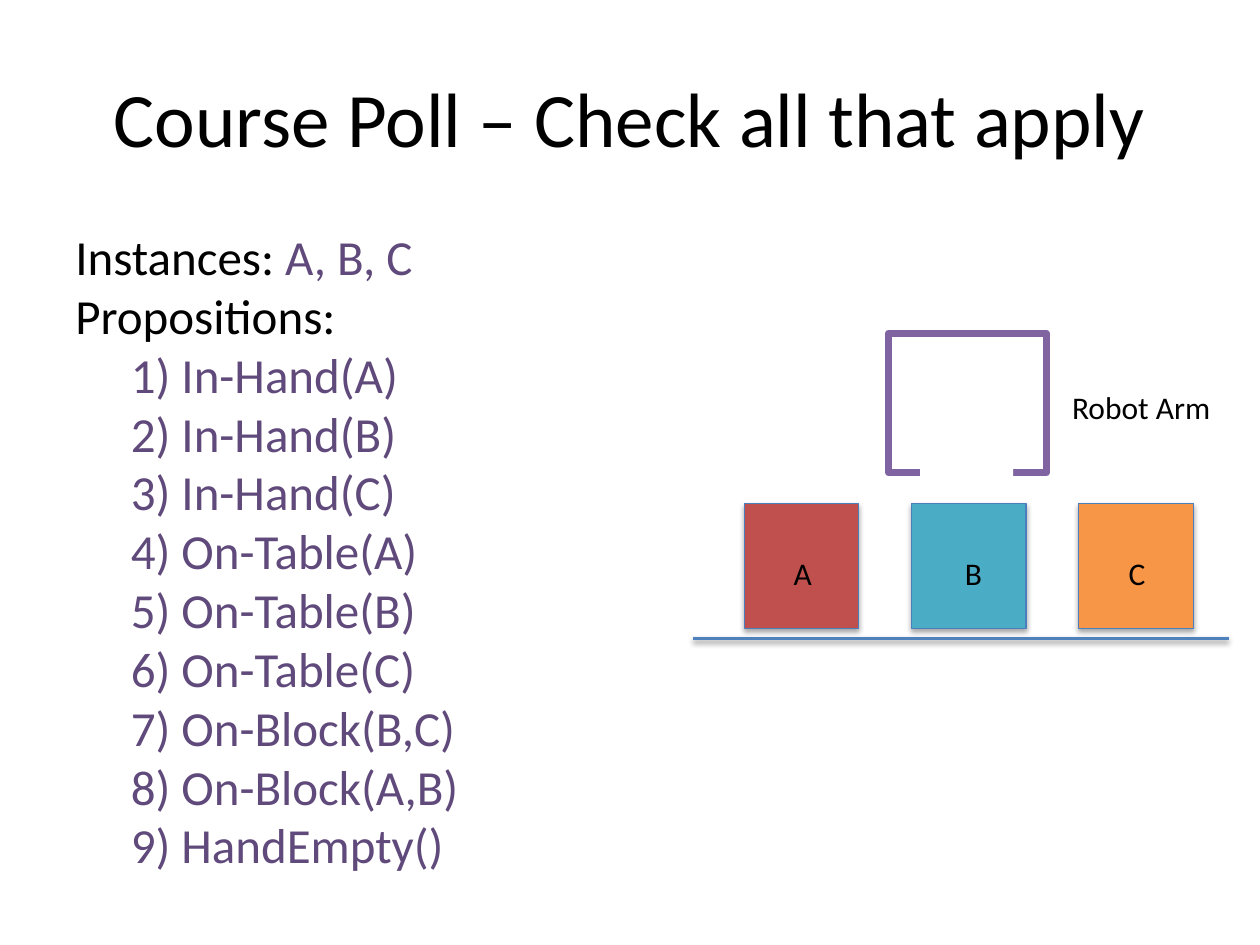
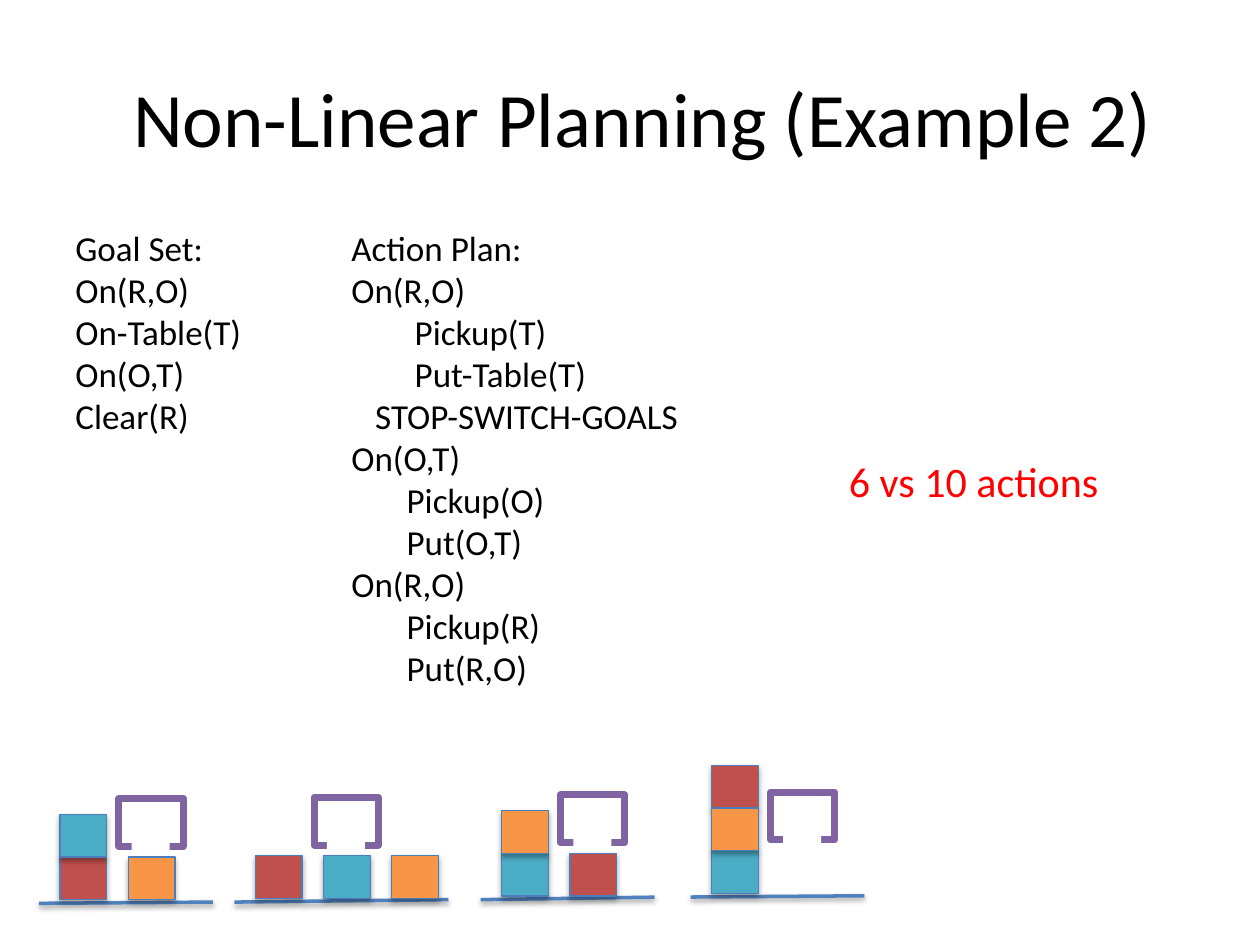
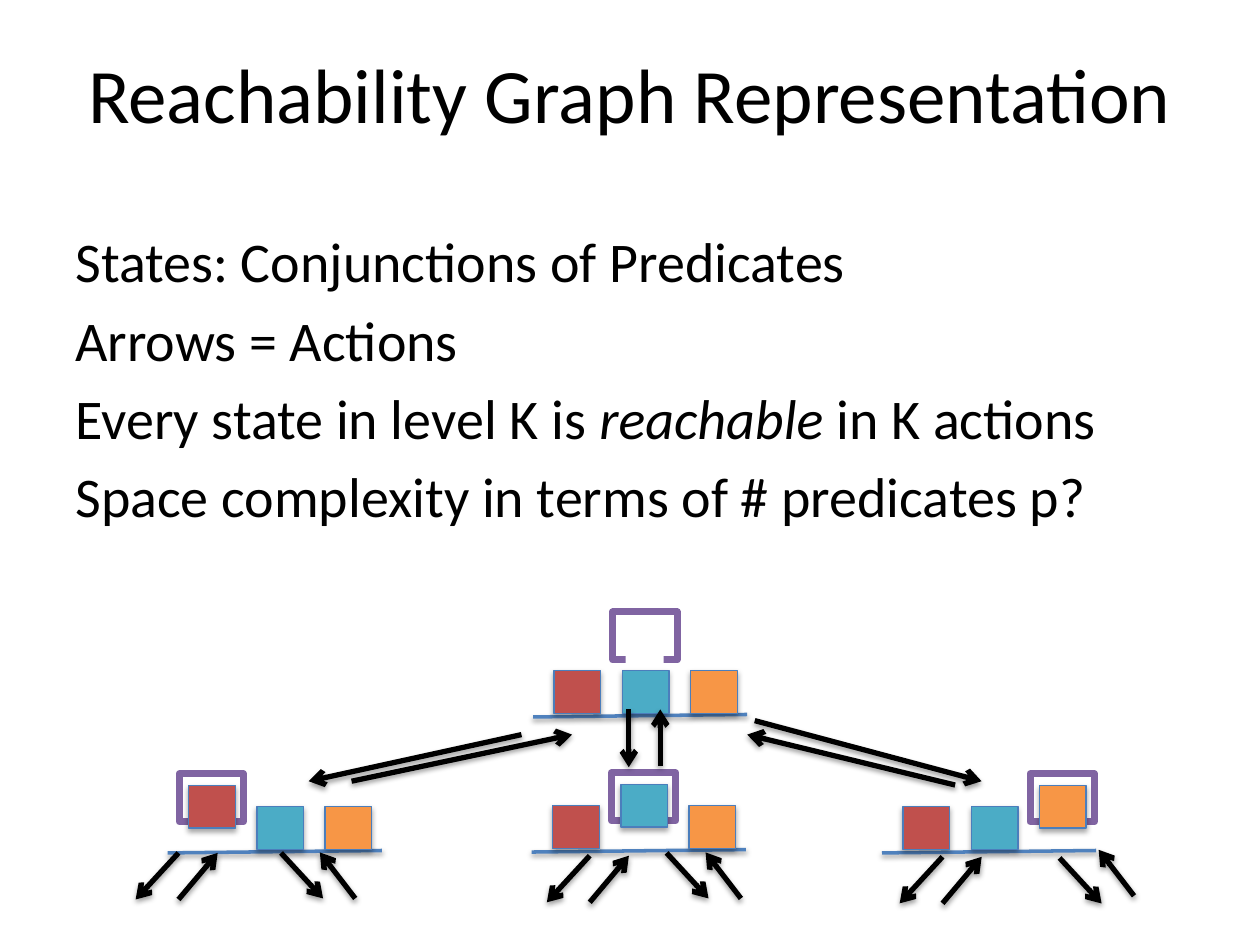
from lxml import etree
from pptx import Presentation
from pptx.dml.color import RGBColor
from pptx.enum.shapes import MSO_CONNECTOR, MSO_SHAPE
from pptx.enum.text import MSO_ANCHOR, PP_ALIGN
from pptx.oxml import parse_xml
from pptx.oxml.ns import qn
from pptx.util import Pt

COLORS = {
    "black": "000000", "white": "FFFFFF", "red": "C0504D", "teal": "4BACC6",
    "orange": "F79646", "edge": "4B7EBC", "table": "4F81BD", "arm": "8064A2",
    "term": "604A7B", "alert": "FF0000",
}
RGB = {name: RGBColor.from_string(value) for name, value in COLORS.items()}
FONT = "Calibri"
SHADOW = (
    '<a:effectLst xmlns:a="http://schemas.openxmlformats.org/drawingml/2006/main">'
    '<a:outerShdw blurRad="39370" dist="{}" dir="5400000" rotWithShape="0">'
    '<a:srgbClr val="000000"><a:alpha val="{}"/></a:srgbClr></a:outerShdw></a:effectLst>'
)


def add_rect(s, x, y, w, h, fill=None, line=None, width=0.75):
    sp = s.shapes.add_shape(MSO_SHAPE.RECTANGLE, Pt(x), Pt(y), Pt(w), Pt(h))
    sp.shadow.inherit = False
    if fill:
        sp.fill.solid()
        sp.fill.fore_color.rgb = RGB[fill]
    else:
        sp.fill.background()
    if line:
        sp.line.color.rgb = RGB[line]
        sp.line.width = Pt(width)
    else:
        sp.line.fill.background()
    return sp


def add_line(s, x1, y1, x2, y2, color, width, arrow=False):
    cx = s.shapes.add_connector(MSO_CONNECTOR.STRAIGHT, Pt(x1), Pt(y1), Pt(x2), Pt(y2))
    cx.line.color.rgb = RGB[color]
    cx.line.width = Pt(width)
    if arrow:
        etree.SubElement(cx.line._get_or_add_ln(), qn("a:tailEnd"), type="arrow")
    cx._element.spPr.append(parse_xml(SHADOW.format(20320, 38000)))


prs = Presentation()
prs.slide_width, prs.slide_height = Pt(720), Pt(540)
poll, plan, graph = [prs.slides.add_slide(prs.slide_layouts[6]) for _ in range(3)]

# fmt: off
ROW = [("red", 0, 0), ("teal", 1, 0), ("orange", 2, 0)]
SCENES = [
    (poll, 396, 365, 306, 0, 2.45, 2.91, None, ROW),
    (plan, 22.3, 516.2, 99.4, 0.7, 1, 1, None, [("red", 0, 0), ("teal", 0, 1), ("orange", 1, 0)]),
    (plan, 133.9, 515.5, 122.4, 1.4, 1, 1, None, ROW),
    (plan, 274.7, 514.1, 99.4, 1.4, 1, 1, None, [("red", 1, 0), ("teal", 0, 0), ("orange", 0, 1)]),
    (plan, 394.6, 512.6, 99.4, 0.7, 1, 1, None, [("red", 0, 2), ("teal", 0, 0), ("orange", 0, 1)]),
    (graph, 304.6, 409.7, 122.4, 1.4, 1, 1, None, ROW),
    (graph, 95.8, 487.4, 122.4, 1.4, 1, 1, 0, ROW),
    (graph, 303.8, 486.9, 122.4, 1.4, 1, 1, 1, ROW),
    (graph, 504, 487.4, 122.4, 1.4, 1, 1, 2, ROW),
]
# fmt: on
for s, x, y, length, rise, kx, ky, held, blocks in SCENES:
    add_line(s, x, y, x + length, y - rise, "table", 2)
    arm_col, arm_up = (1, 60) if held is None else (held, 45.2)
    arm_x, arm_y = x + (6.6 + 39 * arm_col) * kx, y - arm_up * ky
    arm_w, arm_h = 36.8 * kx, 27.4 * ky
    add_rect(s, arm_x, arm_y, arm_w, arm_h, line="arm", width=4)
    if held is None:
        add_rect(s, arm_x + 0.2 * arm_w, arm_y + 0.82 * arm_h, 0.59 * arm_w, 0.31 * arm_h, "white")
    for fill, col, row in blocks:
        level = 0.5 if col == held else row
        sp = add_rect(s, x + (12 + 39 * col) * kx, y - (26.5 + 24.4 * level) * ky,
                      26.7 * kx, 24.5 * ky, fill, "edge")
        sp._element.spPr.remove(sp._element.spPr.find(qn("a:effectLst")))
        sp._element.spPr.append(parse_xml(SHADOW.format(22860, 35000)))

STROKES = {
    (-24.5, 26.6): [(102, 487.4), (337, 489), (538.6, 489.6)],
    (22.4, -26.6): [(102, 514), (337, 515.6), (538.6, 516.2)],
    (24, 26): [(160.6, 487.4), (380.9, 487.4), (605.5, 490.3)],
    (-20.2, -26.3): [(203, 513.4), (423.4, 513.4), (648, 511.9)],
    (0, 33): [(359.3, 405.4)],
    (0, -32.4): [(377.3, 437.8)],
    (-121.6, 26.6): [(298, 419.8)],
    (126, -26.6): [(200.9, 446.4)],
    (129.6, 34.6): [(431.3, 411.8)],
    (-118.8, -28.8): [(545.8, 448.6)],
}
for (dx, dy), starts in STROKES.items():
    for x, y in starts:
        add_line(graph, x, y, x + dx, y + dy, "black", 3, arrow=True)

PROPOSITIONS = [
    "In-Hand(A)", "In-Hand(B)", "In-Hand(C)", "On-Table(A)", "On-Table(B)",
    "On-Table(C)", "On-Block(B,C)", "On-Block(A,B)", "HandEmpty()",
]
poll_body = [(0, [("Instances: ", "black"), ("A, B, C", "term")]), (0, [("Propositions:", "black")])]
poll_body += [(31.7, [(f"{n}) {name}", "term")]) for n, name in enumerate(PROPOSITIONS, 1)]
goals = ["Goal Set:", "On(R,O)", "On-Table(T)", "On(O,T)", "Clear(R)"]
actions = [
    (0, "Action Plan:"), (0, "On(R,O)"), (36.2, "Pickup(T)"), (36.2, "Put-Table(T)"),
    (13.6, "STOP-SWITCH-GOALS"), (0, "On(O,T)"), (31.6, "Pickup(O)"), (31.6, "Put(O,T)"),
    (0, "On(R,O)"), (31.6, "Pickup(R)"), (31.6, "Put(R,O)"),
]
graph_body = [
    (0, [("States: Conjunctions of Predicates", "black")]),
    (0, [("Arrows = Actions", "black")]),
    (0, [("Every state in level K is ", "black"), ("reachable ", "black", True), ("in K actions", "black")]),
    (0, [("Space complexity in terms of # predicates p?", "black")]),
]
TITLE = {"size": 44, "align": PP_ALIGN.CENTER, "frame": {"word_wrap": True, "vertical_anchor": MSO_ANCHOR.MIDDLE}}
BODY = {"size": 28, "align": PP_ALIGN.LEFT, "frame": {"word_wrap": True, "vertical_anchor": MSO_ANCHOR.TOP}}
LABEL = {"size": 18, "align": PP_ALIGN.LEFT, "frame": {"word_wrap": False, "vertical_anchor": MSO_ANCHOR.TOP}}
TEXTS = [
    (poll, (36, 21.6, 648, 90), TITLE, [(0, [("Course Poll – Check all that apply", "black")])]),
    (poll, (36, 126, 648, 391), {**BODY, "columns": 2}, poll_body),
    (poll, (446.4, 313.2, 25.2, 29), LABEL, [(0, [("A", "black")])]),
    (poll, (544.3, 313.2, 24.5, 29), LABEL, [(0, [("B", "black")])]),
    (poll, (637.9, 313.2, 24.5, 29), LABEL, [(0, [("C", "black")])]),
    (poll, (605.5, 218.2, 95, 29), LABEL, [(0, [("Robot Arm", "black")])]),
    (plan, (36, 21.6, 663, 90), TITLE, [(0, [("Non-Linear Planning (Example 2)", "black")])]),
    (plan, (36, 126, 125.3, 191.5), {**BODY, "size": 20}, [(0, [(text, "black")]) for text in goals]),
    (plan, (193.7, 126, 298.8, 311), {**BODY, "size": 20}, [(x, [(text, "black")]) for x, text in actions]),
    (plan, (478, 257, 173.5, 36), {**LABEL, "size": 24}, [(0, [("6 vs 10 actions", "alert")])]),
    (graph, (0, 8, 720, 90), TITLE, [(0, [("Reachability Graph Representation", "black")])]),
    (graph, (36, 126, 684, 414), {**BODY, "size": 32, "gap": 6.4}, graph_body),
]
for s, place, style, paragraphs in TEXTS:
    tf = s.shapes.add_textbox(*map(Pt, place)).text_frame
    for name, value in style["frame"].items():
        setattr(tf, name, value)
    if "columns" in style:
        tf._txBody.bodyPr.set("numCol", str(style["columns"]))
    for i, (indent, runs) in enumerate(paragraphs):
        p = tf.add_paragraph() if i else tf.paragraphs[0]
        p.alignment = style["align"]
        p.space_before = Pt(style.get("gap", 0) if i else 0)
        p._p.get_or_add_pPr().set("marL", str(Pt(indent)))
        for text, color, *italic in runs:
            r = p.add_run()
            r.text = text
            r.font.color.rgb = RGB[color]
            for name, value in {"name": FONT, "size": Pt(style["size"]), "italic": bool(italic)}.items():
                setattr(r.font, name, value)

prs.save("out.pptx")
